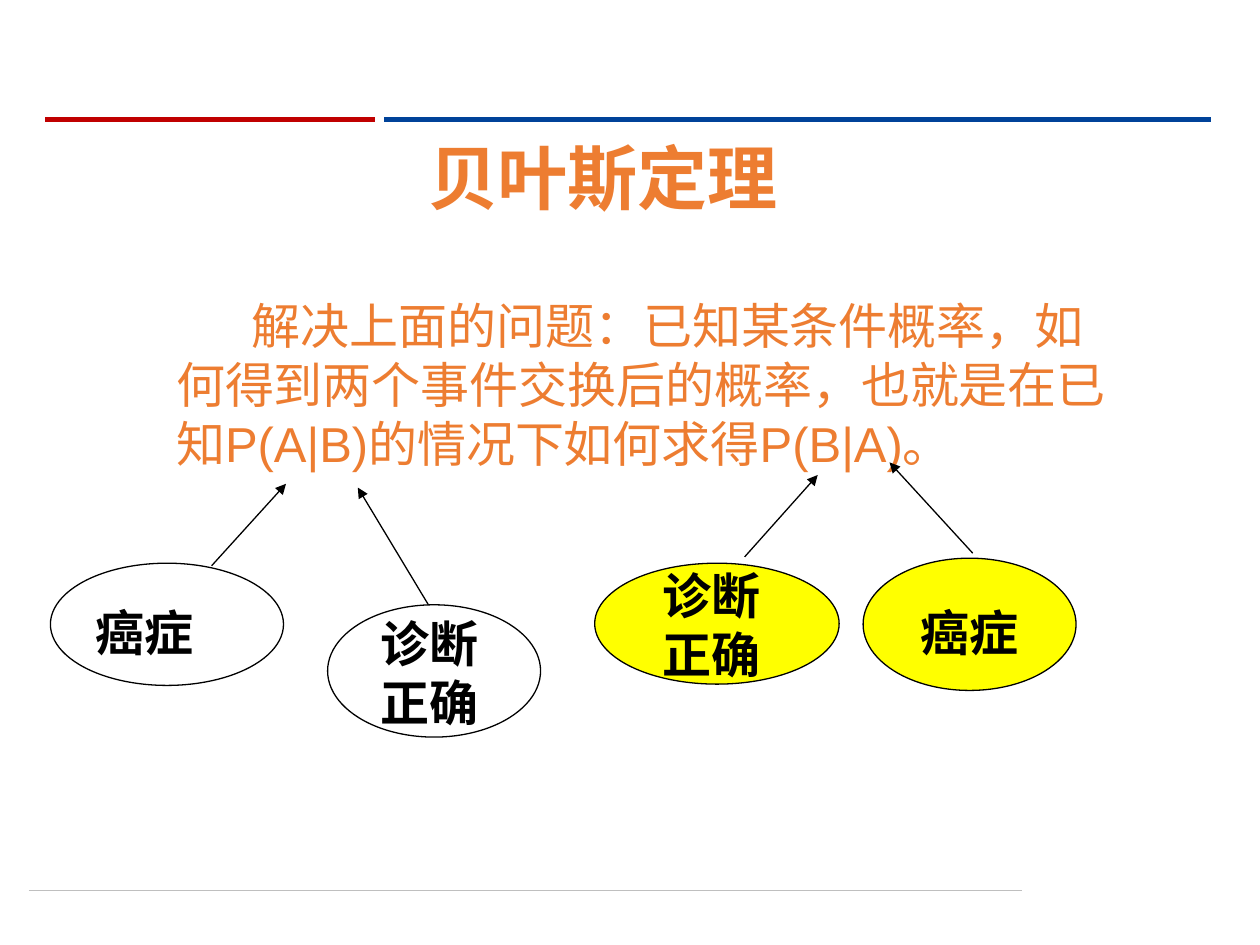
from pptx import Presentation
from pptx.util import Inches, Pt
from pptx.dml.color import RGBColor
from pptx.enum.shapes import MSO_CONNECTOR, MSO_SHAPE
from pptx.enum.text import PP_ALIGN
from pptx.oxml.ns import qn
from lxml.etree import SubElement

COLORS = {"red": "C00000", "blue": "004299", "gray": "BFBFBF", "orange": "ED7D31",
          "black": "000000", "white": "FFFFFF", "yellow": "FFFF00"}

# Grid of 100 columns by 75 rows
WIDTH, HEIGHT = Inches(10), Inches(7.5)
COL, ROW = WIDTH / 100, HEIGHT / 75


def x(cols):
    return round(cols * COL)


def y(rows):
    return round(rows * ROW)


def rgb(name):
    return RGBColor.from_string(COLORS[name])


def add_line(s, start, end, color, width, arrow=False):
    line = s.shapes.add_connector(MSO_CONNECTOR.STRAIGHT, x(start[0]), y(start[1]),
                                  x(end[0]), y(end[1]))
    line.line.color.rgb = rgb(color)
    line.line.width = Pt(width)
    if arrow:
        SubElement(line.line._get_or_add_ln(), qn("a:tailEnd"), type="triangle")
    SubElement(line._element.spPr, qn("a:effectLst"))


def add_text(s, box, text, size, color, bold=False, align=PP_ALIGN.LEFT, indent=0):
    left, top, width, height = box
    tf = s.shapes.add_textbox(x(left), y(top), x(width), y(height)).text_frame
    tf.word_wrap = True
    p = tf.paragraphs[0]
    p.text = text
    p.alignment = align
    if indent:
        p._p.get_or_add_pPr().set("indent", str(x(indent)))
    font = p.runs[0].font
    font.name, font.size, font.bold = "Arial", Pt(size), bold
    font.color.rgb = rgb(color)


def add_rules(s, box):
    """Two-coloured rule at the top of the box and a thin one at its foot."""
    left, top, width, height = box
    add_line(s, (left + 26.9, top), (left + width, top), "blue", 3)
    add_line(s, (left, top), (left + 26.2, top), "red", 3)
    foot = top + height
    add_line(s, (left - 1.3, foot), (left + 77.5, foot), "gray", 0.5)


def add_statement(s, box):
    """Title centred over the explanation."""
    left, top, width, height = box
    add_text(s, (left + 15.7, top, 38.3, 7.7), "贝叶斯定理", 40, "orange",
             bold=True, align=PP_ALIGN.CENTER)
    add_text(s, (left, top + 12.8, width, height - 12.8),
             "解决上面的问题：已知某条件概率，如何得到两个事件交换后的概率，"
             "也就是在已知P(A|B)的情况下如何求得P(B|A)。", 28, "orange", indent=6)


def add_event(s, box, fill, text, label, arrow):
    """Ellipse with a label and an arrow, both offset from the box corner."""
    left, top, width, height = box
    sp = s.shapes.add_shape(MSO_SHAPE.OVAL, x(left), y(top), x(width), y(height))
    sp.shadow.inherit = False
    sp.fill.solid()
    sp.fill.fore_color.rgb = rgb(fill)
    sp.line.color.rgb = rgb("black")
    sp.line.width = Pt(0.75)
    dx, dy, label_width, label_height = label
    add_text(s, (left + dx, top + dy, label_width, label_height), text, 28, "black", bold=True)
    start, end = [(left + ax, top + ay) for ax, ay in arrow]
    add_line(s, start, end, "black", 0.75, arrow=True)


# Box, fill, text, label offset and size, arrow offsets
EVENTS = [
    ((4, 44.7, 18.5, 9.7), "white", "癌症", (2.6, 2.6, 11.7, 5), ((12.8, 0.2), (18.7, -6.3))),
    ((26, 48, 16.9, 10.5), "white", "诊断正确", (3.2, 0.2, 12.7, 9), ((8, 0), (2.4, -9.3))),
    ((47.2, 44.7, 19.4, 9.6), "yellow", "诊断正确", (4.4, -0.3, 12.7, 9),
     ((11.9, -0.5), (17.7, -7))),
    ((68.5, 44.3, 16.9, 10.5), "yellow", "癌症", (3.6, 3, 11.7, 5), ((8.7, -0.4), (2.1, -7.6))),
]


def main():
    prs = Presentation()
    prs.slide_width, prs.slide_height = WIDTH, HEIGHT
    s = prs.slides.add_slide(prs.slide_layouts[6])
    add_rules(s, (3.6, 9.5, 92.5, 61.2))
    add_statement(s, (13, 10.2, 77.7, 25.8))
    for event in EVENTS:
        add_event(s, *event)
    prs.save("out.pptx")


if __name__ == "__main__":
    main()
